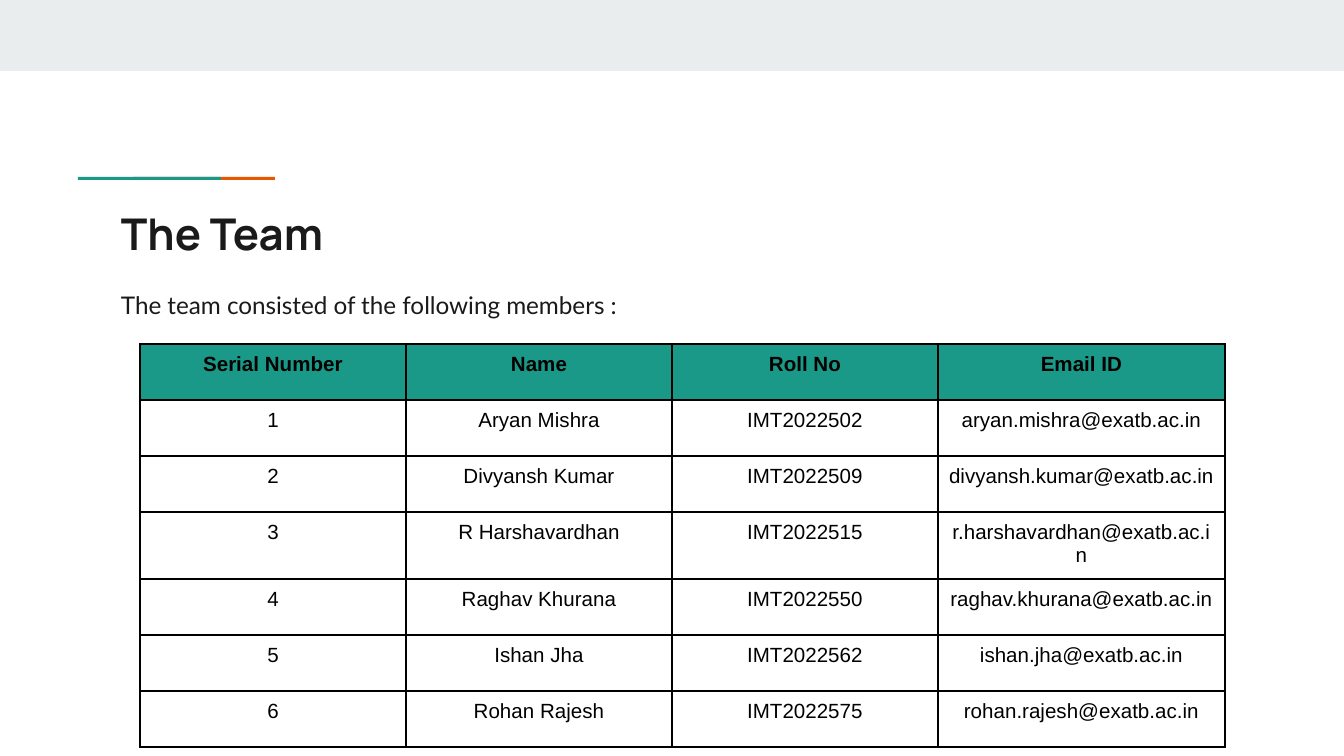
"""Build the team slide with its heading, accent line and member table."""
from dataclasses import dataclass

from lxml.etree import SubElement
from pptx import Presentation
from pptx.dml.color import RGBColor
from pptx.enum.shapes import MSO_SHAPE
from pptx.enum.text import MSO_ANCHOR, PP_ALIGN
from pptx.oxml.ns import qn
from pptx.slide import Slide
from pptx.table import _Cell
from pptx.text.text import _Paragraph
from pptx.util import Emu, Pt


@dataclass(frozen=True)
class Type:
    font: str
    size: float
    color: str
    bold: bool = False


@dataclass(frozen=True)
class Theme:
    band: str = "E9EDEE"
    teal: str = "1A9988"
    orange: str = "EB5600"
    border: str = "000000"
    title: Type = Type("Manrope", 23.4, "1A1A1A", True)
    body: Type = Type("Lato", 13, "1A1A1A")
    header: Type = Type("Arial", 11, "000000", True)
    cell: Type = Type("Arial", 11, "000000")


@dataclass(frozen=True)
class Box:
    left: int
    top: int
    width: int
    height: int


@dataclass(frozen=True)
class Bar:
    box: Box
    color: str


@dataclass(frozen=True)
class Label:
    box: Box
    text: str
    style: Type
    line_spacing: float = 1.0
    space_after: int = 0


@dataclass(frozen=True)
class Member:
    name: str
    roll: str
    account: str


THEME = Theme()
PIXELS_PER_INCH = 134.4
SLIDE_WIDTH, SLIDE_HEIGHT = 1344, 756
TEXT_INSET, CELL_INSET = 13, 9
MAIL_DOMAIN = "exatb.ac.in"
HEADINGS = ("Serial Number", "Name", "Roll No", "Email ID")
COLUMN_WIDTHS = (266, 266, 266, 287)
ROW_HEIGHT = 56
TABLE_LEFT, TABLE_TOP = 140, 344

BARS = (
    Bar(Box(0, 0, SLIDE_WIDTH, 71), THEME.band),
    Bar(Box(133, 177, 142, 3), THEME.orange),
    Bar(Box(78, 177, 143, 3), THEME.teal),
)
LABELS = (
    Label(Box(108, 194, 1130, 79), "The Team", THEME.title),
    Label(Box(108, 273, 1130, 66), "The team consisted of the following members :",
          THEME.body, 1.15, 12),
)
MEMBERS = (
    Member("Aryan Mishra", "IMT2022502", "aryan.mishra"),
    Member("Divyansh Kumar", "IMT2022509", "divyansh.kumar"),
    Member("R Harshavardhan", "IMT2022515", "r.harshavardhan"),
    Member("Raghav Khurana", "IMT2022550", "raghav.khurana"),
    Member("Ishan Jha", "IMT2022562", "ishan.jha"),
    Member("Rohan Rajesh", "IMT2022575", "rohan.rajesh"),
)


def px(length: int) -> Emu:
    """Turn pixels into EMU."""
    return Emu(round(length * 914400 / PIXELS_PER_INCH))


def place(box: Box) -> tuple[Emu, Emu, Emu, Emu]:
    """Give the position and size of a box in EMU."""
    return px(box.left), px(box.top), px(box.width), px(box.height)


def add_run(paragraph: _Paragraph, text: str, style: Type) -> None:
    """Add one styled run to a paragraph."""
    run = paragraph.add_run()
    run.text = text
    run.font.name = style.font
    run.font.size = Pt(style.size)
    run.font.bold = style.bold
    run.font.color.rgb = RGBColor.from_string(style.color)


def add_bar(slide: Slide, bar: Bar) -> None:
    """Draw a plain filled rectangle."""
    shape = slide.shapes.add_shape(MSO_SHAPE.RECTANGLE, *place(bar.box))
    shape.shadow.inherit = False
    shape.fill.solid()
    shape.fill.fore_color.rgb = RGBColor.from_string(bar.color)
    shape.line.fill.background()


def add_label(slide: Slide, label: Label) -> None:
    """Draw a wrapped text box with one paragraph."""
    frame = slide.shapes.add_textbox(*place(label.box)).text_frame
    frame.word_wrap = True
    frame.vertical_anchor = MSO_ANCHOR.TOP
    frame.margin_left = frame.margin_right = px(TEXT_INSET)
    frame.margin_top = frame.margin_bottom = px(TEXT_INSET)
    paragraph = frame.paragraphs[0]
    paragraph.line_spacing = label.line_spacing
    paragraph.space_after = Pt(label.space_after)
    add_run(paragraph, label.text, label.style)


def add_borders(cell: _Cell) -> None:
    """Draw a one-point line on all four sides of a cell."""
    properties = cell._tc.get_or_add_tcPr()
    for side in ("a:lnL", "a:lnR", "a:lnT", "a:lnB"):
        line = SubElement(properties, qn(side), w=str(Pt(1)))
        fill = SubElement(line, qn("a:solidFill"))
        SubElement(fill, qn("a:srgbClr"), val=THEME.border)


def fill_cell(cell: _Cell, text: str, is_header: bool) -> None:
    """Style a table cell and write its centred text."""
    add_borders(cell)
    cell.margin_left = cell.margin_right = px(CELL_INSET)
    cell.margin_top = cell.margin_bottom = px(CELL_INSET)
    if is_header:
        cell.fill.solid()
        cell.fill.fore_color.rgb = RGBColor.from_string(THEME.teal)
    else:
        cell.fill.background()
    paragraph = cell.text_frame.paragraphs[0]
    paragraph.alignment = PP_ALIGN.CENTER
    add_run(paragraph, text, THEME.header if is_header else THEME.cell)


def add_member_table(slide: Slide, members: tuple[Member, ...]) -> None:
    """Draw the numbered table of team members."""
    rows = [HEADINGS] + [
        (str(number), member.name, member.roll, f"{member.account}@{MAIL_DOMAIN}")
        for number, member in enumerate(members, start=1)
    ]
    box = Box(TABLE_LEFT, TABLE_TOP, sum(COLUMN_WIDTHS), ROW_HEIGHT * len(rows))
    table = slide.shapes.add_table(len(rows), len(HEADINGS), *place(box)).table
    table.horz_banding = False
    for column, width in zip(table.columns, COLUMN_WIDTHS):
        column.width = px(width)
    for row_index, texts in enumerate(rows):
        table.rows[row_index].height = px(ROW_HEIGHT)
        for column_index, text in enumerate(texts):
            fill_cell(table.cell(row_index, column_index), text, row_index == 0)


def main() -> None:
    """Build and save the presentation."""
    presentation = Presentation()
    presentation.slide_width = px(SLIDE_WIDTH)
    presentation.slide_height = px(SLIDE_HEIGHT)
    slide = presentation.slides.add_slide(presentation.slide_layouts[6])
    for bar in BARS:
        add_bar(slide, bar)
    for label in LABELS:
        add_label(slide, label)
    add_member_table(slide, MEMBERS)
    presentation.save("out.pptx")


if __name__ == "__main__":
    main()
